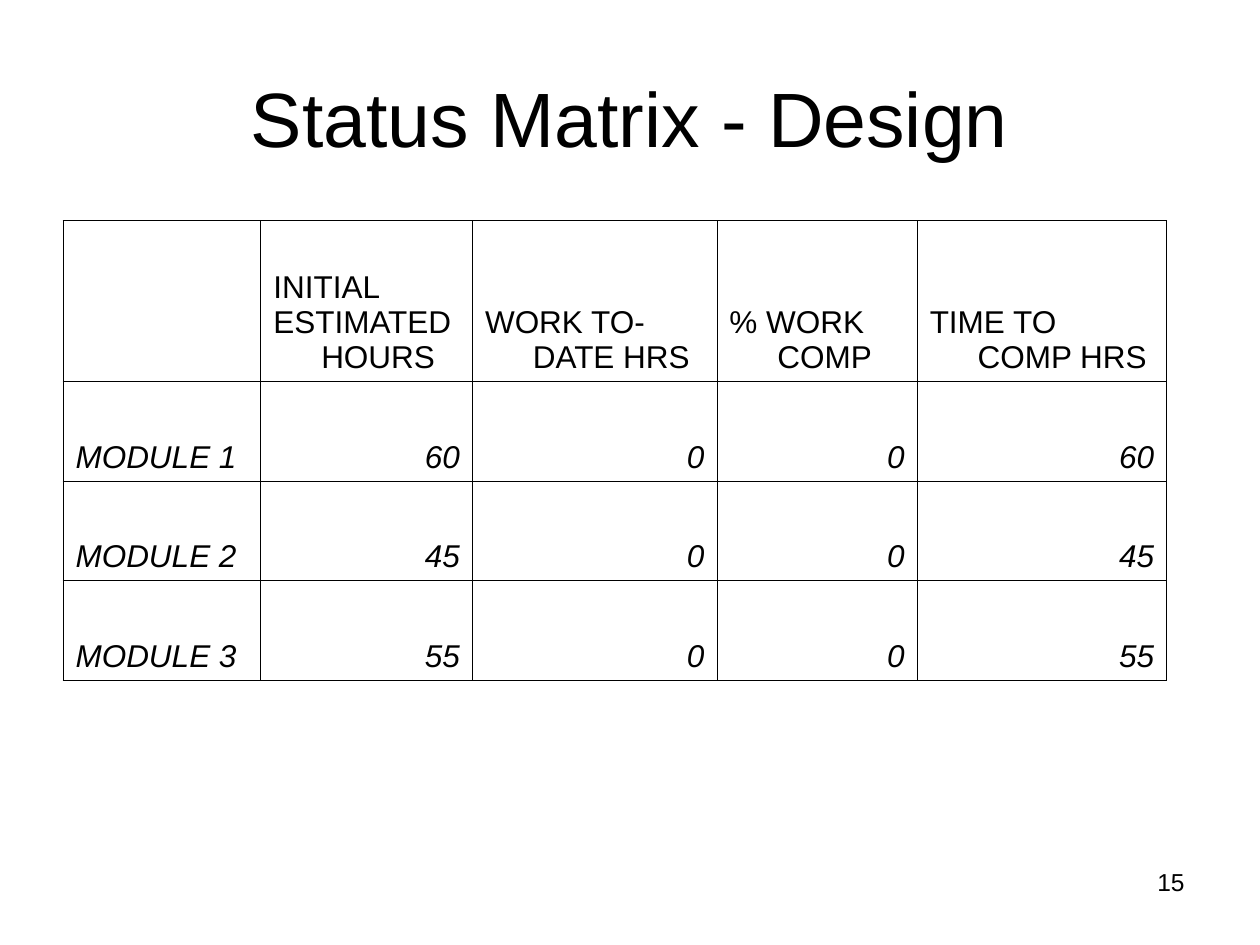
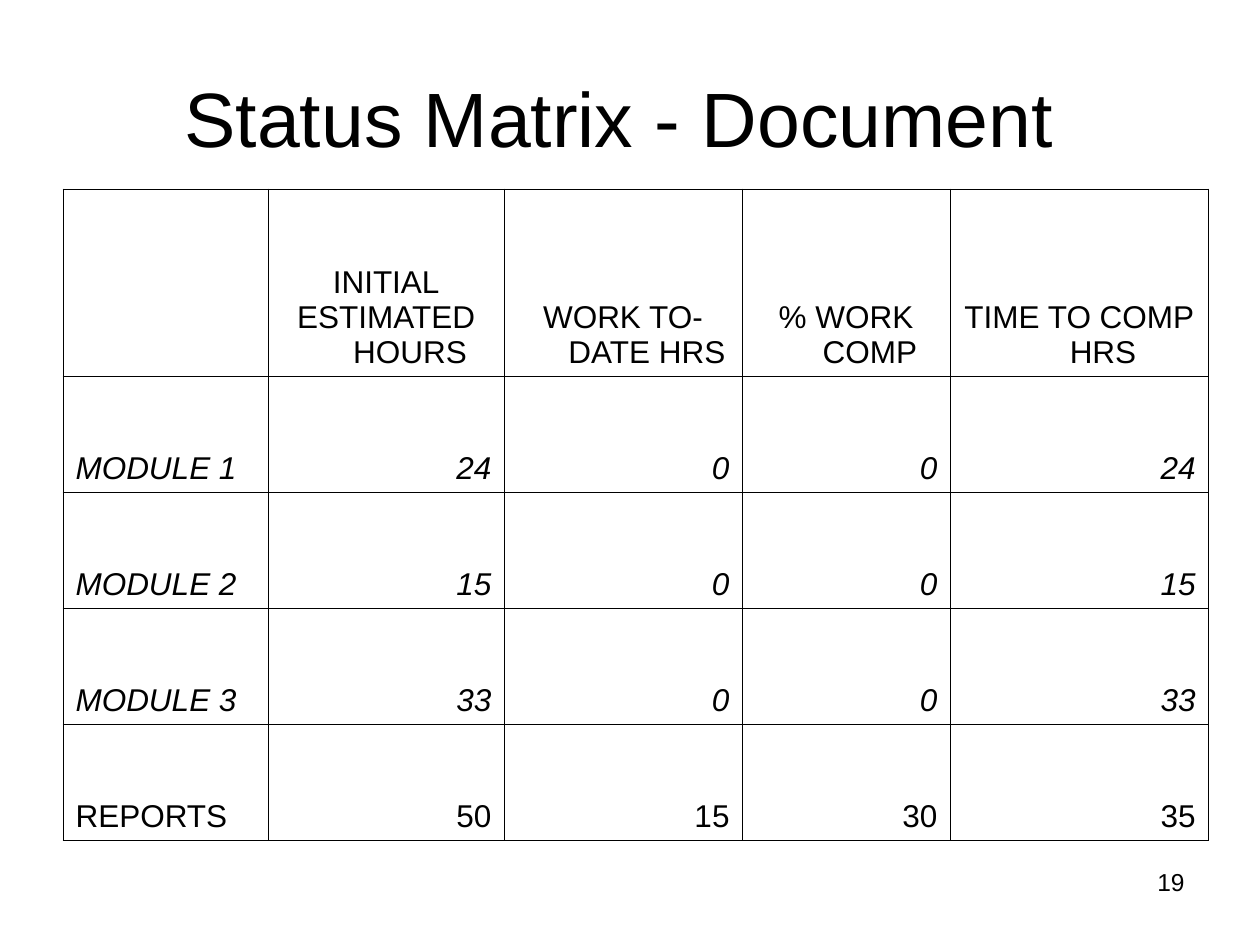
import pptx
import pptx.util
import pptx.dml.color
import pptx.enum.text
from lxml import etree
from pptx.oxml.ns import qn

Inches, Pt = pptx.util.Inches, pptx.util.Pt
ALIGN = pptx.enum.text.PP_ALIGN
ANCHOR = pptx.enum.text.MSO_ANCHOR

# Shared style
BLACK = pptx.dml.color.RGBColor(0, 0, 0)
FONT = "Arial"
HANGING = Inches(0.38)
BORDER_WIDTH = Pt(0.45)

HEADINGS = [
    [],
    ["INITIAL", "ESTIMATED HOURS"],
    ["WORK TO-DATE HRS"],
    ["% WORK COMP"],
    ["TIME TO COMP HRS"],
]


def add_run(p, text, size, italic=False):
    r = p.add_run()
    r.text = text
    r.font.name = FONT
    r.font.size = Pt(size)
    r.font.italic = italic
    r.font.color.rgb = BLACK


def add_text(s, box, text, size, align, anchor):
    tb = s.shapes.add_textbox(*[Inches(v) for v in box])
    tf = tb.text_frame
    tf.word_wrap = True
    tf.vertical_anchor = anchor
    p = tf.paragraphs[0]
    p.alignment = align
    add_run(p, text, size)


def set_borders(cell):
    tc_pr = cell._tc.get_or_add_tcPr()
    for side in ("lnL", "lnR", "lnT", "lnB"):
        ln = etree.SubElement(tc_pr, qn("a:" + side), w=str(BORDER_WIDTH))
        fill = etree.SubElement(ln, qn("a:solidFill"))
        etree.SubElement(fill, qn("a:srgbClr"), val=str(BLACK))


def fill_cell(cell, lines, align, italic=False):
    set_borders(cell)
    cell.fill.background()
    cell.vertical_anchor = ANCHOR.BOTTOM
    tf = cell.text_frame
    for i, line in enumerate(lines):
        p = tf.add_paragraph() if i else tf.paragraphs[0]
        p.alignment = align
        p_pr = p._p.get_or_add_pPr()
        p_pr.set("marL", str(HANGING))
        p_pr.set("indent", str(-HANGING))
        add_run(p, line, 18, italic)


def add_matrix(s, top, col_widths, row_heights, heading_align, rows):
    frame = s.shapes.add_table(
        len(row_heights), len(col_widths), Inches(0.5), Inches(top),
        Inches(sum(col_widths)), Inches(sum(row_heights)))
    table = frame.table
    table.first_row = table.horz_banding = False
    for col, width in zip(table.columns, col_widths):
        col.width = Inches(width)
    for row, height in zip(table.rows, row_heights):
        row.height = Inches(height)

    for c, lines in enumerate(HEADINGS):
        fill_cell(table.cell(0, c), lines, heading_align)
    for r, (label, *values) in enumerate(rows, 1):
        italic = label.startswith("MODULE")
        fill_cell(table.cell(r, 0), [label], ALIGN.LEFT, italic)
        for c, value in enumerate(values, 1):
            fill_cell(table.cell(r, c), [str(value)], ALIGN.RIGHT, italic)


def add_status_slide(prs, title, number, **matrix):
    s = prs.slides.add_slide(prs.slide_layouts[6])
    add_text(s, (0.5, 0.3, 9, 1.25), title, 44, ALIGN.CENTER, ANCHOR.MIDDLE)
    add_matrix(s, **matrix)
    add_text(s, (7.17, 6.83, 2.33, 0.52), str(number), 14, ALIGN.RIGHT, ANCHOR.TOP)


def main():
    prs = pptx.Presentation()
    prs.slide_width, prs.slide_height = Inches(10), Inches(7.5)

    # Design phase
    add_status_slide(
        prs, "Status Matrix - Design", 15,
        top=1.75,
        col_widths=[1.57, 1.68, 1.94, 1.59, 1.98],
        row_heights=[1.28] + [0.79] * 3,
        heading_align=ALIGN.LEFT,
        rows=[
            ("MODULE 1", 60, 0, 0, 60),
            ("MODULE 2", 45, 0, 0, 45),
            ("MODULE 3", 55, 0, 0, 55),
        ])

    # Documentation phase
    add_status_slide(
        prs, "Status Matrix - Document ", 19,
        top=1.5,
        col_widths=[1.63, 1.87, 1.89, 1.65, 2.05],
        row_heights=[1.49] + [0.92] * 4,
        heading_align=ALIGN.CENTER,
        rows=[
            ("MODULE 1", 24, 0, 0, 24),
            ("MODULE 2", 15, 0, 0, 15),
            ("MODULE 3", 33, 0, 0, 33),
            ("REPORTS", 50, 15, 30, 35),
        ])

    prs.save("out.pptx")


if __name__ == "__main__":
    main()
